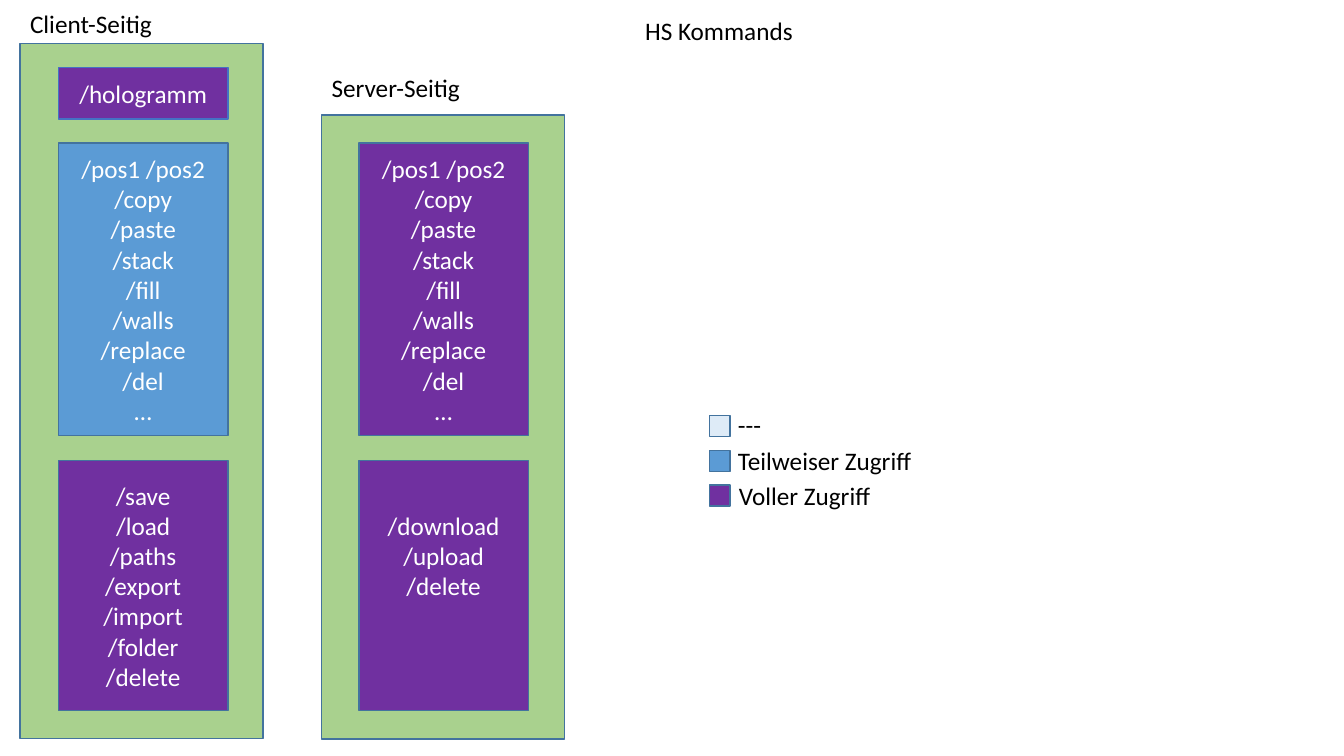
from pptx import Presentation
from pptx.dml.color import RGBColor
from pptx.enum.shapes import MSO_SHAPE
from pptx.enum.text import MSO_ANCHOR, MSO_AUTO_SIZE, PP_ALIGN
from pptx.util import Pt

RECTANGLE = MSO_SHAPE.RECTANGLE
MIDDLE = MSO_ANCHOR.MIDDLE
GROW = MSO_AUTO_SIZE.SHAPE_TO_FIT_TEXT
LEFT, CENTER = PP_ALIGN.LEFT, PP_ALIGN.CENTER

EMU_PER_PX = 9144
FONT = "Calibri"
BLACK = RGBColor(0x00, 0x00, 0x00)
WHITE = RGBColor(0xFF, 0xFF, 0xFF)
GREEN = RGBColor(0xA9, 0xD1, 0x8E)
BLUE = RGBColor(0x5B, 0x9B, 0xD5)
PALE_BLUE = RGBColor(0xDE, 0xEB, 0xF7)
PURPLE = RGBColor(0x70, 0x30, 0xA0)
OUTLINE = RGBColor(0x43, 0x73, 0x9E)
BRIGHT_OUTLINE = RGBColor(0x44, 0x72, 0xC4)

EDIT_COMMANDS = ["/pos1 /pos2", "/copy", "/paste", "/stack", "/fill",
                 "/walls", "/replace", "/del", "…"]
FILE_COMMANDS = ["/save", "/load", "/paths", "/export", "/import",
                 "/folder", "/delete"]
TRANSFER_COMMANDS = ["/download", "/upload", "/delete"]
PANEL_BOTTOM = 733
PANEL_WIDTH = 241
COMMAND_WIDTH = 168
EDIT_TOP, EDIT_HEIGHT = 142, 290
FILE_TOP, FILE_HEIGHT = 457, 248


def px(length):
    return length * EMU_PER_PX


def write_text(text_frame, text, color, alignment):
    text_frame.text = text
    for paragraph in text_frame.paragraphs:
        paragraph.alignment = alignment
        for run in paragraph.runs:
            run.font.name = FONT
            run.font.size = Pt(18)
            run.font.color.rgb = color


def add_box(slide, left, top, width, height, fill, outline=OUTLINE):
    shape = slide.shapes.add_shape(
        RECTANGLE, px(left), px(top), px(width), px(height))
    shape.shadow.inherit = False
    shape.fill.solid()
    shape.fill.fore_color.rgb = fill
    shape.line.color.rgb = outline
    shape.line.width = Pt(1)
    return shape


def add_commands(slide, left, top, height, fill, commands,
                 outline=OUTLINE, bottom_margin=5):
    shape = add_box(slide, left, top, COMMAND_WIDTH, height, fill, outline)
    text_frame = shape.text_frame
    text_frame.word_wrap = True
    text_frame.vertical_anchor = MIDDLE
    text_frame.margin_bottom = px(bottom_margin)
    write_text(text_frame, "\n".join(commands), WHITE, CENTER)


def add_label(slide, left, top, width, text):
    label = slide.shapes.add_textbox(px(left), px(top), px(width), px(40))
    text_frame = label.text_frame
    text_frame.word_wrap = False
    text_frame.auto_size = GROW
    write_text(text_frame, text, BLACK, LEFT)


def add_panel(slide, left, top, title, title_top, title_width):
    add_box(slide, left, top, PANEL_WIDTH, PANEL_BOTTOM - top, GREEN)
    add_label(slide, left, title_top, title_width, title)


def add_legend_entry(slide, swatch_top, fill, left, top, width, text):
    add_box(slide, 704, swatch_top, 20, 21, fill)
    add_label(slide, left, top, width, text)


def main():
    presentation = Presentation()
    presentation.slide_width = px(1333)
    presentation.slide_height = px(750)
    slide = presentation.slides.add_slide(presentation.slide_layouts[6])

    add_label(slide, 630, 10, 168, "HS Kommands")

    add_panel(slide, 20, 43, "Client-Seitig", 3, 143)
    add_commands(slide, 58, 67, 51, PURPLE, ["/hologramm"], BRIGHT_OUTLINE)
    add_commands(slide, 58, EDIT_TOP, EDIT_HEIGHT, BLUE, EDIT_COMMANDS)
    add_commands(slide, 58, FILE_TOP, FILE_HEIGHT, PURPLE, FILE_COMMANDS)

    add_panel(slide, 319, 114, "Server-Seitig", 67, 150)
    add_commands(slide, 356, EDIT_TOP, EDIT_HEIGHT, PURPLE, EDIT_COMMANDS)
    add_commands(slide, 356, FILE_TOP, FILE_HEIGHT, PURPLE,
                 TRANSFER_COMMANDS, bottom_margin=65)

    add_legend_entry(slide, 412, PALE_BLUE, 722, 401, 43, "---")
    add_legend_entry(slide, 447, BLUE, 722, 437, 194, "Teilweiser Zugriff")
    add_legend_entry(slide, 481, PURPLE, 723, 472, 152, "Voller Zugriff")

    presentation.save("out.pptx")


if __name__ == "__main__":
    main()
